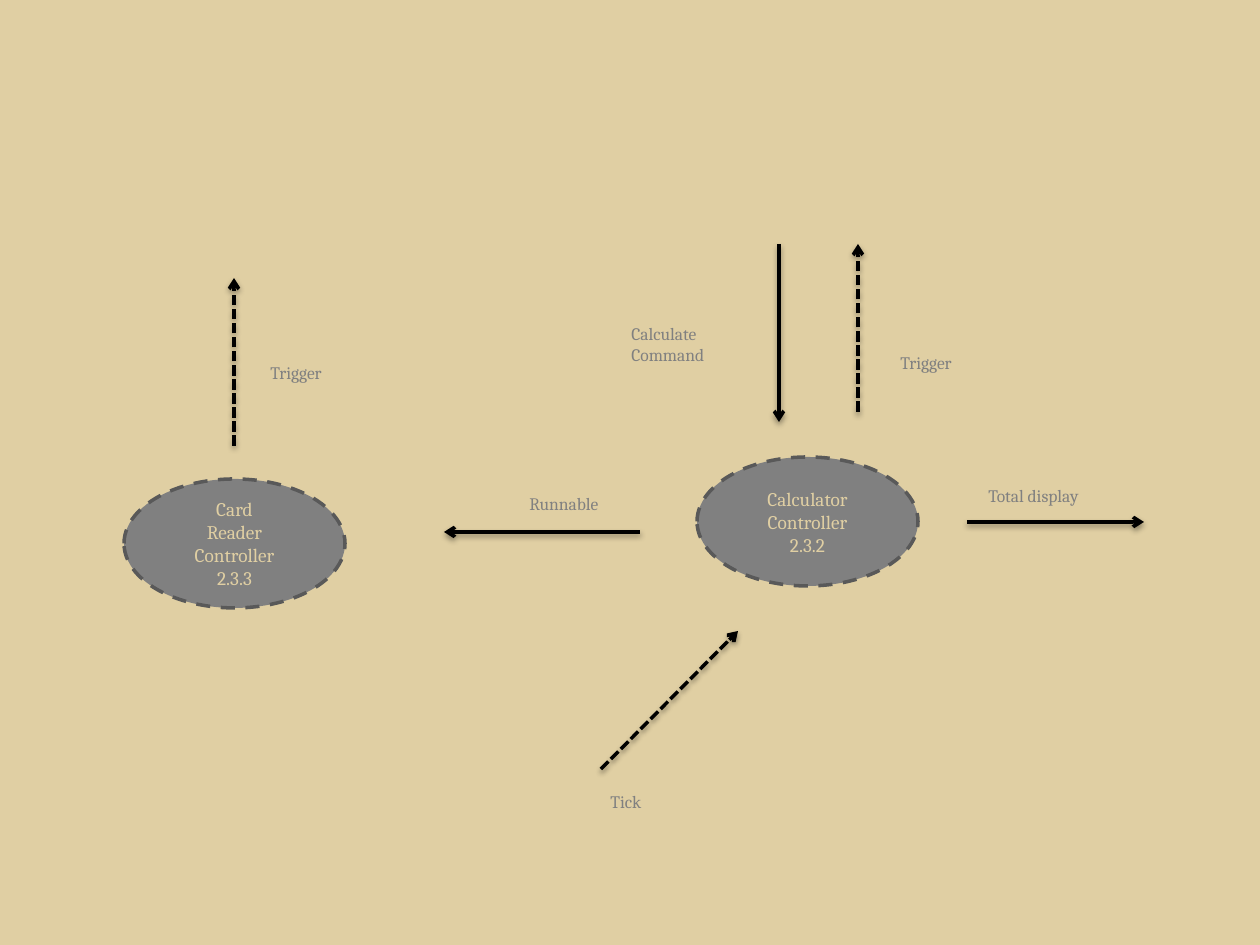
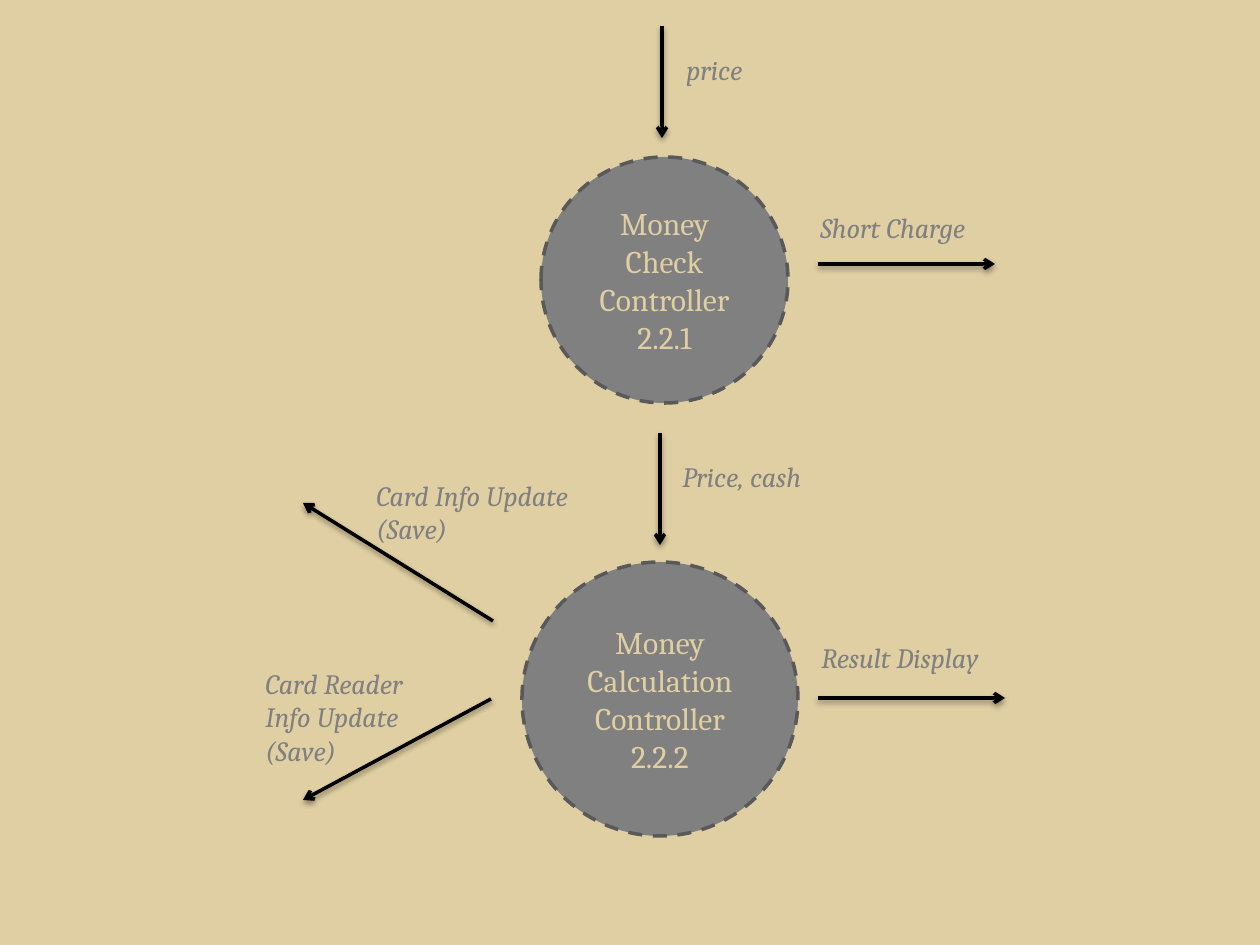
from lxml.etree import SubElement
from pptx import Presentation
from pptx.dml.color import RGBColor
from pptx.enum.dml import MSO_LINE
from pptx.enum.shapes import MSO_CONNECTOR, MSO_SHAPE
from pptx.enum.text import MSO_ANCHOR, MSO_AUTO_SIZE, PP_ALIGN
from pptx.oxml import parse_xml
from pptx.oxml.ns import nsdecls, qn
from pptx.util import Emu, Pt

FONT = "Cambria"
SAND, GREY, DARK_GREY, BLACK = "E0CFA3", "808080", "595959", "000000"
SOFT_SHADOW = f"""<a:effectLst {nsdecls("a")}>
  <a:outerShdw blurRad="40000" dist="20000" dir="5400000" rotWithShape="0">
    <a:srgbClr val="{BLACK}"><a:alpha val="38000"/></a:srgbClr>
  </a:outerShdw>
</a:effectLst>"""


def px(length):
    """Turn pixels, 126 to the inch, into EMU."""
    return Emu(round(length * 914400 / 126))


def rgb(color):
    return RGBColor.from_string(color)


# Controllers and labels: text, left, top, width, height.
# Flows: start x, start y, end x, end y, dash.
SOLID, DASHED = MSO_LINE.SOLID, MSO_LINE.SQUARE_DOT
diagrams = [
    {
        "controller_size": 11, "label_size": 10, "italic": False,
        "controllers": [
            ("Card\nReader\nController\n2.3.3", 124, 479, 221, 129),
            ("Calculator\nController\n2.3.2", 697, 457, 221, 129),
        ],
        "flows": [
            (234, 446, 234, 278, DASHED),
            (967, 522, 1144, 522, SOLID),
            (779, 244, 779, 422, SOLID),
            (601, 769, 738, 631, DASHED),
            (640, 532, 444, 532, SOLID),
            (858, 412, 858, 244, DASHED),
        ],
        "labels": [
            ("Trigger", 258, 356, 83, 34),
            ("Trigger", 888, 346, 83, 34),
            ("Runnable", 517, 487, 103, 34),
            ("Calculate\nCommand", 619, 317, 129, 55),
            ("Total display", 976, 479, 159, 34),
            ("Tick", 598, 785, 83, 34),
        ],
    },
    {
        "controller_size": 18, "label_size": 16, "italic": True,
        "controllers": [
            ("Money\nCheck\nController\n2.2.1", 541, 157, 247, 246),
            ("Money\nCalculation\nController\n2.2.2", 522, 562, 276, 274),
        ],
        "flows": [
            (818, 264, 995, 264, SOLID),
            (662, 26, 662, 138, SOLID),
            (660, 433, 660, 545, SOLID),
            (818, 698, 1005, 698, SOLID),
            (491, 699, 303, 800, SOLID),
            (493, 621, 303, 503, SOLID),
        ],
        "labels": [
            ("price", 674, 46, 335, 47),
            ("Price, cash", 670, 453, 335, 47),
            ("Card Info Update\n(Save)", 364, 472, 275, 80),
            ("Card Reader\nInfo Update\n(Save)", 253, 660, 335, 115),
            ("Result Display", 809, 634, 335, 47),
            ("Short Charge", 808, 204, 335, 47),
        ],
    },
]

presentation = Presentation()
presentation.slide_width = px(1260)
presentation.slide_height = px(945)

for diagram in diagrams:
    slide = presentation.slides.add_slide(presentation.slide_layouts[6])
    slide.background.fill.solid()
    slide.background.fill.fore_color.rgb = rgb(SAND)

    for text, *box in diagram["controllers"]:
        controller = slide.shapes.add_shape(MSO_SHAPE.OVAL, *map(px, box))
        controller.shadow.inherit = False
        controller.fill.solid()
        controller.fill.fore_color.rgb = rgb(GREY)
        controller.line.color.rgb = rgb(DARK_GREY)
        controller.line.width = Pt(2)
        controller.line.dash_style = MSO_LINE.DASH
        controller.text_frame.text = text
        controller.text_frame.word_wrap = True
        controller.text_frame.vertical_anchor = MSO_ANCHOR.MIDDLE
        for paragraph in controller.text_frame.paragraphs:
            paragraph.alignment = PP_ALIGN.CENTER
            paragraph.font.name = FONT
            paragraph.font.size = Pt(diagram["controller_size"])
            paragraph.font.color.rgb = rgb(SAND)

    for *ends, dash in diagram["flows"]:
        flow = slide.shapes.add_connector(MSO_CONNECTOR.STRAIGHT, *map(px, ends))
        flow.line.color.rgb = rgb(BLACK)
        flow.line.width = Pt(2)
        flow.line.dash_style = dash
        properties = flow.element.spPr
        SubElement(properties.find(qn("a:ln")), qn("a:tailEnd"), type="arrow")
        properties.append(parse_xml(SOFT_SHADOW))

    for text, *box in diagram["labels"]:
        label = slide.shapes.add_textbox(*map(px, box))
        label.text_frame.text = text
        label.text_frame.word_wrap = True
        label.text_frame.auto_size = MSO_AUTO_SIZE.SHAPE_TO_FIT_TEXT
        for paragraph in label.text_frame.paragraphs:
            paragraph.font.name = FONT
            paragraph.font.size = Pt(diagram["label_size"])
            paragraph.font.italic = diagram["italic"]
            paragraph.font.color.rgb = rgb(GREY)

presentation.save("out.pptx")
